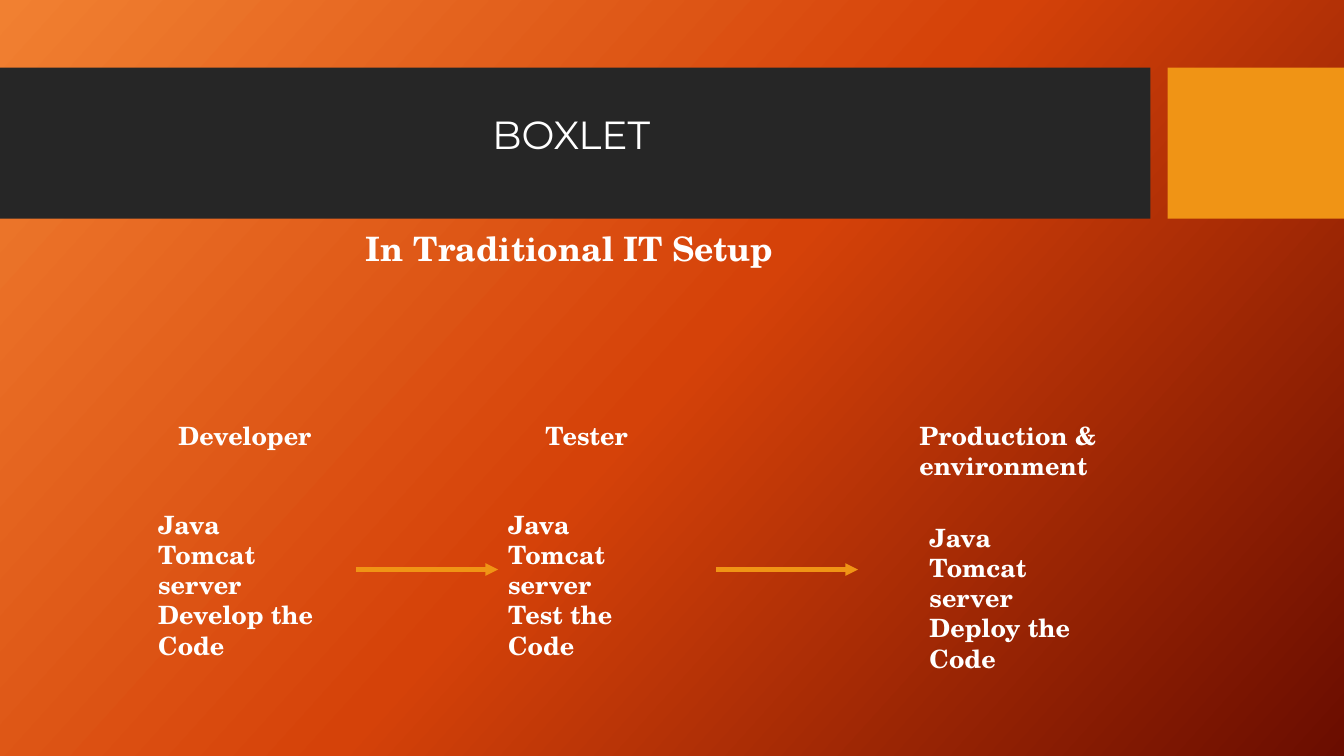
"""Build a slide showing the stages of a traditional IT setup."""
from copy import deepcopy
from lxml import etree
from pptx import Presentation
from pptx.dml.color import RGBColor
from pptx.enum import shapes, text
from pptx.oxml import ns
from pptx.util import Inches, Pt

COLORS = {"white": "FFFFFF", "band": "262626", "accent": "F09415"}
GRADIENT = [(0, "F18031"), (0.5, "D54209"), (1, "6A0D00")]


def add_text(slide, box, lines, size=18):
    shape = slide.shapes.add_textbox(*map(Inches, box))
    frame = shape.text_frame
    frame.word_wrap = True
    frame.auto_size = text.MSO_AUTO_SIZE.SHAPE_TO_FIT_TEXT
    frame.text = "\n".join(lines)
    style = {"name": "TeX Gyre Schola", "size": Pt(size), "bold": True}
    for paragraph in frame.paragraphs:
        for name, value in style.items():
            setattr(paragraph.font, name, value)
        paragraph.font.color.rgb = RGBColor.from_string(COLORS["white"])


presentation = Presentation()
presentation.slide_width = Inches(13.33)
presentation.slide_height = Inches(7.5)
slide = presentation.slides.add_slide(presentation.slide_layouts[5])

background = slide.background.fill
background.gradient()
background.gradient_angle = 360 - 42
stop_list = background.gradient_stops[0]._gs.getparent()
stop_list.append(deepcopy(stop_list[-1]))
for stop, (position, color) in zip(background.gradient_stops, GRADIENT):
    stop.position = position
    stop.color.rgb = RGBColor.from_string(color)

title = slide.shapes.title
for left, width, color in [(0, 11.41, "band"), (11.58, 1.75, "accent")]:
    bar = slide.shapes.add_shape(
        shapes.MSO_SHAPE.RECTANGLE, Inches(left), Inches(0.67), Inches(width), Inches(1.5))
    bar.shadow.inherit = False
    bar.fill.solid()
    bar.fill.fore_color.rgb = RGBColor.from_string(COLORS[color])
    bar.line.fill.background()
    title._element.addprevious(bar._element)

title_box = {"left": 0.41, "top": 1, "width": 10.51, "height": 1.18}
for name, value in title_box.items():
    setattr(title, name, Inches(value))
frame = title.text_frame
frame.text = "BOXLET"
frame_style = {"vertical_anchor": text.MSO_ANCHOR.MIDDLE, "word_wrap": True,
               "auto_size": text.MSO_AUTO_SIZE.NONE, "margin_bottom": Inches(0.52)}
for name, value in frame_style.items():
    setattr(frame, name, value)
heading = frame.paragraphs[0]
heading.alignment = text.PP_ALIGN.CENTER
heading.line_spacing = 0.9
for name, value in {"name": "Montserrat", "size": Pt(28), "bold": False}.items():
    setattr(heading.font, name, value)
heading.font.color.rgb = RGBColor.from_string(COLORS["white"])

stages = [
    ("Developer", (1.67, 4.12, 1.62, 0.4), "Develop", (1.47, 5)),
    ("Tester", (5.31, 4.12, 1.62, 0.4), "Test", (4.94, 5)),
    ("Production & environment", (9.02, 4.12, 2.02, 0.71), "Deploy", (9.12, 5.13)),
]
for role, role_box, task, corner in stages:
    add_text(slide, role_box, [role])
    add_text(slide, (*corner, 1.81, 1.62), ["Java", "Tomcat server", f"{task} the Code"])

for start in (3.53, 7.1):
    arrow = slide.shapes.add_connector(
        shapes.MSO_CONNECTOR.STRAIGHT,
        Inches(start), Inches(5.65), Inches(start + 1.41), Inches(5.65))
    arrow.line.width = Pt(3)
    arrow.line.color.rgb = RGBColor.from_string(COLORS["accent"])
    etree.SubElement(arrow.line._get_or_add_ln(), ns.qn("a:tailEnd"), type="triangle")
    etree.SubElement(arrow._element.spPr, ns.qn("a:effectLst"))

add_text(slide, (3.53, 2.21, 8.13, 0.5), ["In Traditional IT Setup"], 24)

presentation.save("out.pptx")
